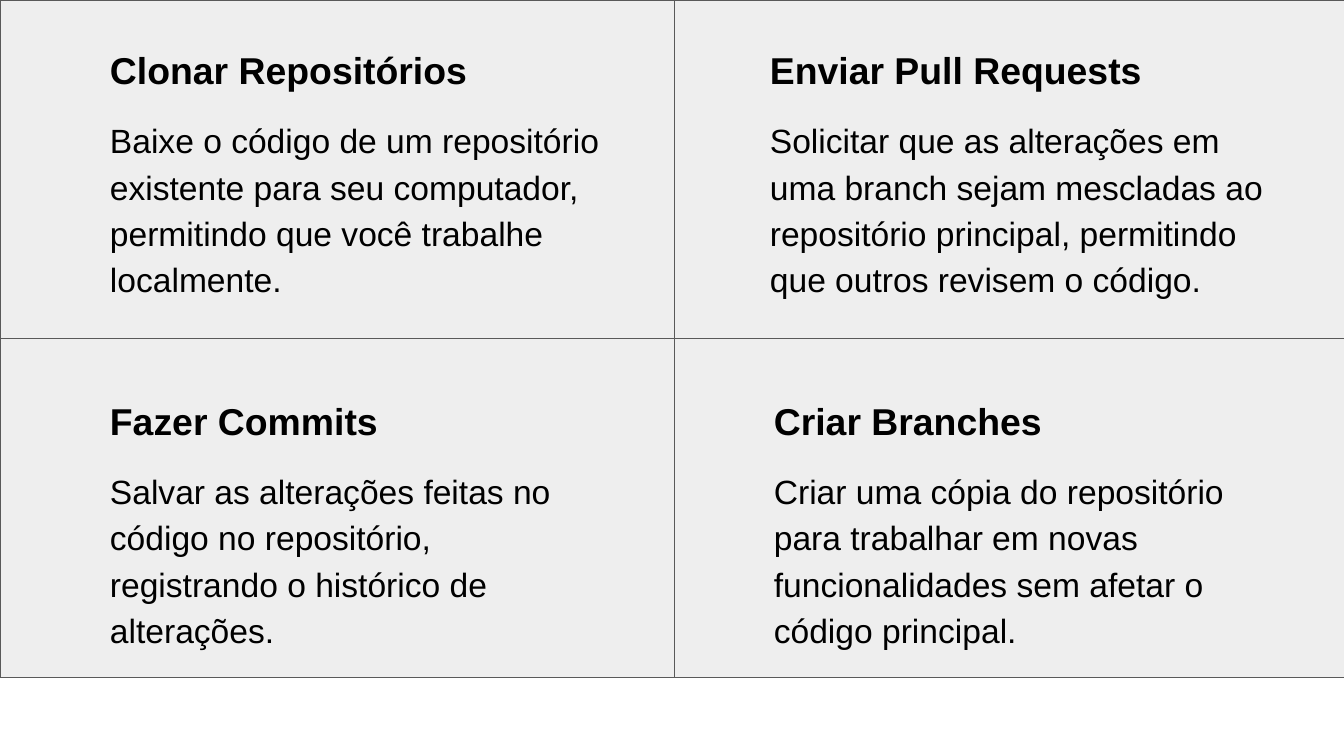
from dataclasses import dataclass

from pptx import Presentation
from pptx.dml.color import RGBColor
from pptx.enum.shapes import MSO_SHAPE
from pptx.enum.text import MSO_AUTO_SIZE, PP_ALIGN
from pptx.slide import Slide
from pptx.text.text import TextFrame
from pptx.util import Inches, Pt

SLIDE_W = 10
SLIDE_H = SLIDE_W * 9 / 16
PANEL_W, PANEL_H = 5.02, 2.52
TEXT_H = 2.13


@dataclass(frozen=True)
class Card:
    left: float
    row: int
    text_left: float
    text_top: float
    text_width: float
    heading: str
    body: str


CARDS = [
    Card(PANEL_W, 0, 5.63, 0.2, 3.92, "Enviar Pull Requests",
         "Solicitar que as alterações em uma branch sejam mescladas ao "
         "repositório principal, permitindo que outros revisem o código."),
    Card(SLIDE_W / 2, 1, 5.66, 2.81, 3.86, "Criar Branches",
         "Criar uma cópia do repositório para trabalhar em novas "
         "funcionalidades sem afetar o código principal."),
    Card(0, 1, 0.72, 2.81, 3.86, "Fazer Commits",
         "Salvar as alterações feitas no código no repositório, "
         "registrando o histórico de alterações."),
    Card(0, 0, 0.72, 0.2, 3.97, "Clonar Repositórios",
         "Baixe o código de um repositório existente para seu computador, "
         "permitindo que você trabalhe localmente."),
]


def color(value: str) -> RGBColor:
    return RGBColor.from_string(value)


def add_panel(s: Slide, card: Card) -> None:
    sp = s.shapes.add_shape(
        MSO_SHAPE.RECTANGLE, Inches(card.left),
        Inches(card.row * PANEL_H), Inches(PANEL_W), Inches(PANEL_H))
    sp.shadow.inherit = False
    sp.fill.solid()
    sp.fill.fore_color.rgb = color("EEEEEE")
    sp.line.color.rgb = color("595959")
    sp.line.width = Pt(0.75)


def add_paragraph(tf: TextFrame, text: str, size: int, bold: bool,
                  after: int, first: bool) -> None:
    p = tf.paragraphs[0] if first else tf.add_paragraph()
    p.alignment = PP_ALIGN.LEFT
    p.line_spacing = 1.15
    p.space_before = Pt(12)
    p.space_after = Pt(after)
    r = p.add_run()
    r.text = text
    r.font.name = "Arial"
    r.font.size = Pt(size)
    r.font.bold = bold
    r.font.color.rgb = color("000000")


def add_text(s: Slide, card: Card) -> None:
    sp = s.shapes.add_textbox(
        Inches(card.text_left), Inches(card.text_top),
        Inches(card.text_width), Inches(TEXT_H))
    tf = sp.text_frame
    tf.word_wrap = True
    tf.auto_size = MSO_AUTO_SIZE.SHAPE_TO_FIT_TEXT
    tf.margin_left = tf.margin_right = Inches(0.1)
    tf.margin_top = tf.margin_bottom = Inches(0.1)
    add_paragraph(tf, card.heading, 20, True, 0, True)
    add_paragraph(tf, card.body, 18, False, 12, False)


def main() -> None:
    prs = Presentation()
    prs.slide_width, prs.slide_height = Inches(SLIDE_W), Inches(SLIDE_H)
    s = prs.slides.add_slide(prs.slide_layouts[6])
    for card in CARDS:
        add_panel(s, card)
    for card in CARDS:
        add_text(s, card)
    prs.save("out.pptx")


if __name__ == "__main__":
    main()
